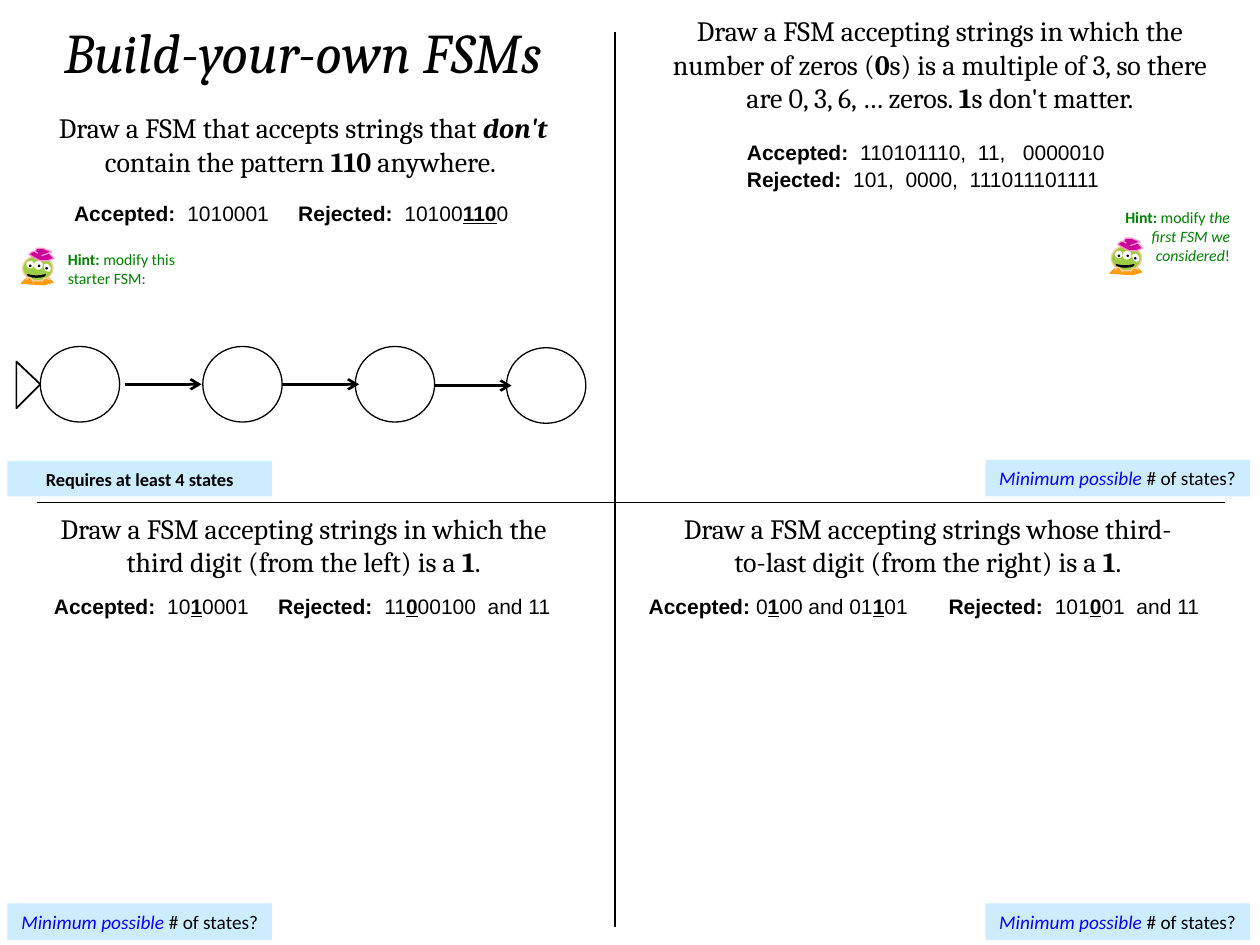
from dataclasses import dataclass
from typing import NamedTuple, Optional

from lxml.etree import SubElement
from pptx import Presentation
from pptx.dml.color import RGBColor
from pptx.enum.shapes import MSO_CONNECTOR as Connector, MSO_SHAPE as Shape
from pptx.enum.text import MSO_ANCHOR as Anchor, MSO_AUTO_SIZE as AutoSize, PP_ALIGN as Align
from pptx.oxml.ns import qn
from pptx.util import Inches, Pt


@dataclass(frozen=True)
class Theme:
    black: str = "000000"
    white: str = "FFFFFF"
    badge: str = "CCECFF"
    blue: str = "0900FF"
    hint: str = "008000"
    skin: str = "9ECC46"
    skin_edge: str = "FFCC99"
    foot: str = "FD9D0F"
    mouth: str = "808080"
    hat: str = "CC0099"
    hat_edge: str = "FF99CC"
    thin: float = 0.75
    medium: float = 1
    thick: float = 1.5


THEME = Theme()


class TextStyle(NamedTuple):
    font: str
    size: float
    color: str = THEME.black
    align: Align = Align.CENTER
    spacing: float = 1.0


TITLE = TextStyle("Cambria", 32)
TASK = TextStyle("Cambria", 16)
EXAMPLE = TextStyle("Arial", 12, align=Align.LEFT, spacing=0.6)
HINT_LEFT = TextStyle("Calibri", 9, THEME.hint, Align.LEFT)
HINT_RIGHT = TextStyle("Calibri", 9, THEME.hint, Align.RIGHT)
QUESTION = TextStyle("Calibri", 11)
REQUIREMENT = TextStyle("Calibri", 10.5)


class Span(NamedTuple):
    """A piece of text; marks holds any of b, i and u."""
    text: str
    marks: str = ""
    color: Optional[str] = None


class TextBlock(NamedTuple):
    left: float
    top: float
    width: float
    height: float
    style: TextStyle
    lines: list


class Oval(NamedTuple):
    left: float
    top: float
    width: float
    height: float
    fill: Optional[str] = None
    edge: Optional[str] = None
    turn: float = 0
    kind: Shape = Shape.OVAL


class Outline(NamedTuple):
    points: list
    fill: Optional[str]
    edge: str
    weight: float = THEME.thin
    closed: bool = False


ACCEPTED, REJECTED = Span("Accepted:  ", "b"), Span("Rejected:  ", "b")
ONE, ZERO = Span("1", "bu"), Span("0", "bu")

BLOCKS = [
    TextBlock(0.2, 0.83, 4.41, 0.64, TASK, [[
        Span("Draw a FSM that accepts strings that "), Span("don't ", "bi"),
        Span("contain the pattern "), Span("110", "b"), Span(" anywhere. ")]]),
    TextBlock(5.17, 0.06, 4.58, 0.91, TASK, [[
        Span("Draw a FSM accepting strings in which the number of zeros ("), Span("0", "b"),
        Span("s) is a multiple of 3, so there are 0, 3, 6, … zeros. "), Span("1", "b"),
        Span("s don't matter.")]]),
    TextBlock(0.17, 4.01, 4.48, 0.64, TASK, [[
        Span("Draw a FSM accepting strings in which the third digit (from the left) is a "),
        Span("1", "b"), Span(".")]]),
    TextBlock(5.25, 4.01, 4.23, 0.64, TASK, [[
        Span("Draw a FSM accepting strings whose third-to-last digit (from the right) is a "),
        Span("1", "b"), Span(".")]]),
    TextBlock(0.49, 1.61, 3.67, 0.22, EXAMPLE, [[
        ACCEPTED, Span("1010001     "), REJECTED, Span("10100"), Span("110", "bu"), Span("0")]]),
    TextBlock(5.83, 1.13, 3.29, 0.46, EXAMPLE, [
        [ACCEPTED, Span("110101110,  11,   0000010")],
        [REJECTED, Span("101,  0000,  111011101111")]]),
    TextBlock(0.33, 4.73, 4.32, 0.22, EXAMPLE, [[
        ACCEPTED, Span("10"), ONE, Span("0001     "),
        REJECTED, Span("11"), ZERO, Span("00100  and 11")]]),
    TextBlock(5.05, 4.73, 4.85, 0.22, EXAMPLE, [[
        Span("Accepted: ", "b"), Span("0"), ONE, Span("00 and 01"), ONE, Span("01       "),
        REJECTED, Span("101"), ZERO, Span("01  and 11")]]),
    TextBlock(0.44, 1.93, 1.21, 0.4, HINT_LEFT, [[
        Span("Hint: ", "b"), Span("modify this starter FSM:")]]),
    TextBlock(8.71, 1.6, 1.15, 0.56, HINT_RIGHT, [[
        Span("Hint: ", "b"), Span("modify "), Span("the first FSM we considered", "i"),
        Span("!")]]),
]

MINIMUM = [[Span("Minimum possible ", "i", THEME.blue), Span("# of states?")]]
BADGES = [TextBlock(left, top, 2.1, 0.29, QUESTION, MINIMUM)
          for left, top in ((7.82, 3.65), (0.06, 7.17), (7.82, 7.17))]
BADGES.append(TextBlock(0.06, 3.66, 2.1, 0.28, REQUIREMENT,
                        [[Span("Requires at least 4 states", "b")]]))

ALIEN = [
    Outline([(0.3, 2.19), (0.39, 2.21), (0.42, 2.24), (0.35, 2.26), (0.19, 2.25),
             (0.17, 2.25), (0.2, 2.22), (0.25, 2.19)], THEME.foot, THEME.foot, closed=True),
    Oval(0.18, 2.03, 0.24, 0.2, THEME.skin, THEME.skin_edge),
    Oval(0.21, 2.07, 0.06, 0.06, THEME.white, turn=327.2),
    Oval(0.27, 2.07, 0.07, 0.07, THEME.white),
    Oval(0.35, 2.09, 0.05, 0.07, THEME.white, turn=325.5),
    Oval(0.23, 2.1, 0.02, 0.02, THEME.black),
    Oval(0.3, 2.1, 0.02, 0.02, THEME.black),
    Oval(0.36, 2.12, 0.02, 0.02, THEME.black),
    Oval(0.28, 2.12, 0.02, 0.14, THEME.mouth, THEME.black, 270, Shape.MOON),
    Outline([(0.29, 1.99), (0.25, 2), (0.23, 2.02), (0.28, 2.05), (0.32, 2.07),
             (0.38, 2.07), (0.43, 2.05), (0.4, 2.02)], THEME.hat, THEME.hat_edge),
    Outline([(0.3, 2.01), (0.28, 2), (0.29, 1.97), (0.34, 1.97), (0.39, 1.99),
             (0.41, 2), (0.36, 2.02), (0.33, 2.03)], THEME.hat, THEME.hat_edge),
    Outline([(0.21, 2.22), (0.23, 2.2), (0.25, 2.21), (0.27, 2.24)], THEME.foot, THEME.skin_edge),
    Outline([(0.4, 2.22), (0.37, 2.21), (0.35, 2.21), (0.33, 2.24)], THEME.foot, THEME.skin_edge),
]

STATES = [Oval(left, top, 0.63, 0.6, edge=THEME.black)
          for left, top in ((0.32, 2.75), (1.61, 2.75), (2.82, 2.75), (4.02, 2.76))]
START = Outline([(0.13, 2.87), (0.13, 3.24), (0.32, 3.05)], None, THEME.black,
                THEME.medium, closed=True)
ARROW_STARTS = [(0.99, 3.05), (2.24, 3.05), (3.45, 3.06)]
ARROW_LENGTH = 0.61


def paint(shape, fill: Optional[str], edge: Optional[str], weight: float = THEME.thin) -> None:
    shape.shadow.inherit = False
    if fill:
        shape.fill.solid()
        shape.fill.fore_color.rgb = RGBColor.from_string(fill)
    else:
        shape.fill.background()
    if edge:
        shape.line.color.rgb = RGBColor.from_string(edge)
        shape.line.width = Pt(weight)
    else:
        shape.line.fill.background()


def write(box, lines: list, style: TextStyle, anchor: Anchor = Anchor.TOP) -> None:
    frame = box.text_frame
    frame.word_wrap = True
    frame.auto_size = AutoSize.SHAPE_TO_FIT_TEXT
    frame.vertical_anchor = anchor
    for index, spans in enumerate(lines):
        para = frame.add_paragraph() if index else frame.paragraphs[0]
        para.alignment = style.align
        para.line_spacing = style.spacing
        if index:
            para.space_before = Pt(6.6)
        for span in spans:
            run = para.add_run()
            run.text = span.text
            font = run.font
            font.name, font.size = style.font, Pt(style.size)
            font.color.rgb = RGBColor.from_string(span.color or style.color)
            font.bold, font.italic, font.underline = (mark in span.marks for mark in "biu")


def draw_oval(shapes, oval: Oval, dx: float = 0, dy: float = 0) -> None:
    shape = shapes.add_shape(oval.kind, Inches(oval.left + dx), Inches(oval.top + dy),
                             Inches(oval.width), Inches(oval.height))
    shape.rotation = oval.turn
    paint(shape, oval.fill, oval.edge)


def draw_outline(shapes, outline: Outline, dx: float = 0, dy: float = 0) -> None:
    points = [(Inches(x + dx), Inches(y + dy)) for x, y in outline.points]
    builder = shapes.build_freeform(*points[0], scale=1.0)
    builder.add_line_segments(points[1:], close=outline.closed)
    paint(builder.convert_to_shape(), outline.fill, outline.edge, outline.weight)


def draw_alien(slide, dx: float, dy: float) -> None:
    group = slide.shapes.add_group_shape()
    for part in ALIEN:
        draw = draw_oval if isinstance(part, Oval) else draw_outline
        draw(group.shapes, part, dx, dy)


def draw_line(slide, start: tuple, end: tuple, weight: float, arrow: bool = False) -> None:
    line = slide.shapes.add_connector(Connector.STRAIGHT, *map(Inches, start + end))
    line.line.color.rgb = RGBColor.from_string(THEME.black)
    line.line.width = Pt(weight)
    if arrow:
        SubElement(line.line._get_or_add_ln(), qn("a:tailEnd"), type="arrow")
    SubElement(line._element.spPr, qn("a:effectLst"))


def main() -> None:
    deck = Presentation()
    deck.slide_width, deck.slide_height = Inches(10), Inches(7.5)
    slide = deck.slides.add_slide(deck.slide_layouts[5])
    title = slide.shapes.title
    title.left, title.top, title.width, title.height = map(Inches, (0.07, 0.09, 4.67, 0.64))
    write(title, [[Span("Build-your-own FSMs", "i")]], TITLE)

    for block in BLOCKS:
        write(slide.shapes.add_textbox(*map(Inches, block[:4])), block.lines, block.style)
    for badge in BADGES:
        box = slide.shapes.add_shape(Shape.RECTANGLE, *map(Inches, badge[:4]))
        paint(box, THEME.badge, None)
        write(box, badge.lines, badge.style, Anchor.MIDDLE)

    draw_line(slide, (4.88, 0.25), (4.88, 7.36), THEME.thin)
    draw_line(slide, (0.29, 3.99), (9.72, 3.99), THEME.thin)
    draw_alien(slide, 0, 0)
    draw_alien(slide, 8.64, -0.08)

    draw_outline(slide.shapes, START)
    for state in STATES:
        draw_oval(slide.shapes, state)
    for x, y in ARROW_STARTS:
        draw_line(slide, (x, y), (x + ARROW_LENGTH, y), THEME.thick, arrow=True)
    deck.save("out.pptx")


if __name__ == "__main__":
    main()
